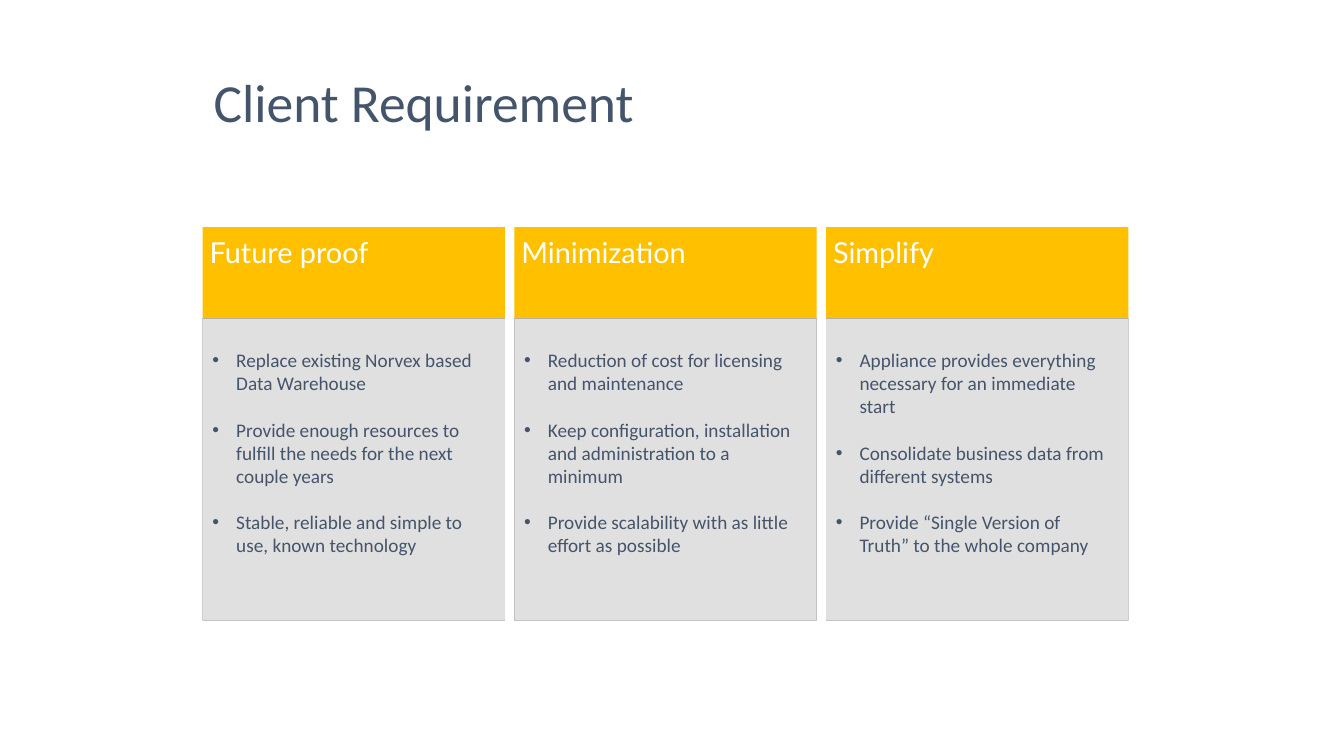
from lxml import etree
from pptx import Presentation
from pptx.dml.color import RGBColor
from pptx.enum.shapes import MSO_SHAPE
from pptx.enum.text import MSO_ANCHOR, MSO_AUTO_SIZE, PP_ALIGN
from pptx.oxml.ns import qn
from pptx.util import Cm, Pt

RECTANGLE = MSO_SHAPE.RECTANGLE
TOP = MSO_ANCHOR.TOP
NO_FIT = MSO_AUTO_SIZE.NONE
LEFT = PP_ALIGN.LEFT
COMPARISON_LAYOUT = 4

# Column grid in centimetres
FIRST_LEFT, PITCH, WIDTH = 5.21, 8.01, 7.77
HEADING_TOP, HEADING_HEIGHT = 5.84, 2.34
PANEL_TOP, PANEL_HEIGHT = HEADING_TOP + HEADING_HEIGHT, 7.77

COLUMNS = [
    ("Future proof", [
        "Replace existing Norvex based Data Warehouse",
        "Provide enough resources to fulfill the needs for the next couple years",
        "Stable, reliable and simple to use, known technology"]),
    ("Minimization", [
        "Reduction of cost for licensing and maintenance",
        "Keep configuration, installation and administration to a minimum",
        "Provide scalability with as little effort as possible"]),
    ("Simplify", [
        "Appliance provides everything necessary for an immediate start",
        "Consolidate business data from different systems",
        "Provide “Single Version of Truth” to the whole company"]),
]


def color(value):
    return RGBColor.from_string(value)


class RequirementSlide:
    ink, accent, backing, panel = "44546A", "FFC000", "505050", "E7E6E6"
    body_font, heading_font = "Calibri", "Lato"

    def __init__(self, page):
        self.page = page

    def place(self, box, left, top, width, height):
        bounds = {"left": left, "top": top, "width": width, "height": height}
        for name, value in bounds.items():
            setattr(box, name, Cm(value))

    def set_text(self, box, lines, insets, size, font, ink, gap=0):
        frame = box.text_frame
        frame.text = "\n".join(lines)
        settings = {"word_wrap": True, "auto_size": NO_FIT, "vertical_anchor": TOP}
        for side, inset in zip(("left", "top", "right", "bottom"), insets):
            settings["margin_" + side] = Cm(inset)
        for name, value in settings.items():
            setattr(frame, name, value)
        for number, para in enumerate(frame.paragraphs):
            para.alignment = LEFT
            para.space_before = Pt(gap if number else 0)
            for name, value in {"size": Pt(size), "name": font, "bold": False}.items():
                setattr(para.font, name, value)
            para.font.color.rgb = color(ink)

    def title(self, text):
        box = self.page.shapes.title
        self.place(box, 5.08, 1.52, 24.77, 1.98)
        self.set_text(box, [text], (0.41, 0.25, 0.41, 0.25), 39,
                      self.body_font, self.ink)

    def rectangle(self, group, bounds, fill):
        box = group.shapes.add_shape(RECTANGLE, *(Cm(value) for value in bounds))
        box.shadow.inherit = False
        box.fill.solid()
        box.fill.fore_color.rgb = color(fill)
        box.line.fill.background()
        return box

    def column(self, left, heading):
        group = self.page.shapes.add_group_shape()
        self.rectangle(group, (left, PANEL_TOP, WIDTH, PANEL_HEIGHT), self.backing)
        box = self.rectangle(
            group, (left, HEADING_TOP, WIDTH, HEADING_HEIGHT), self.accent)
        self.set_text(box, [heading], (0.18,) * 4, 21, self.heading_font, "FFFFFF")

    def bullet_list(self, box, left, items):
        self.place(box, left, PANEL_TOP, WIDTH, PANEL_HEIGHT)
        box.fill.solid()
        box.fill.fore_color.rgb = color(self.panel)
        fill = box.element.spPr.find(qn("a:solidFill"))
        etree.SubElement(fill[0], qn("a:alpha"), val="96000")
        self.set_text(box, items, (0.25, 0.78, 0.38, 0.18), 14,
                      self.body_font, self.ink, gap=17)
        for para in box.text_frame.paragraphs:
            properties = para._p.get_or_add_pPr()
            properties.set("marL", str(Cm(0.61)))
            properties.set("indent", str(-Cm(0.61)))
            bullet = etree.Element(qn("a:buChar"), char="•")
            properties.find(qn("a:spcBef")).addnext(bullet)
            bullet.addprevious(etree.Element(qn("a:buFont"), typeface="Arial"))
        # Bring the list in front of its backing
        box.element.getparent().append(box.element)


def main():
    deck = Presentation()
    deck.slide_width, deck.slide_height = Cm(34.54), Cm(19.43)
    page = deck.slides.add_slide(deck.slide_layouts[COMPARISON_LAYOUT])
    slide = RequirementSlide(page)

    # Title
    slide.title("Client Requirement")

    # Headings and lists
    bodies = [box for box in page.placeholders if box.placeholder_format.idx in range(1, 5)]
    for number, (heading, items) in enumerate(COLUMNS):
        left = FIRST_LEFT + number * PITCH
        slide.column(left, heading)
        slide.bullet_list(bodies[number], left, items)

    # Unused placeholders
    for box in bodies[len(COLUMNS):]:
        box.element.getparent().remove(box.element)

    deck.save("out.pptx")


if __name__ == "__main__":
    main()
